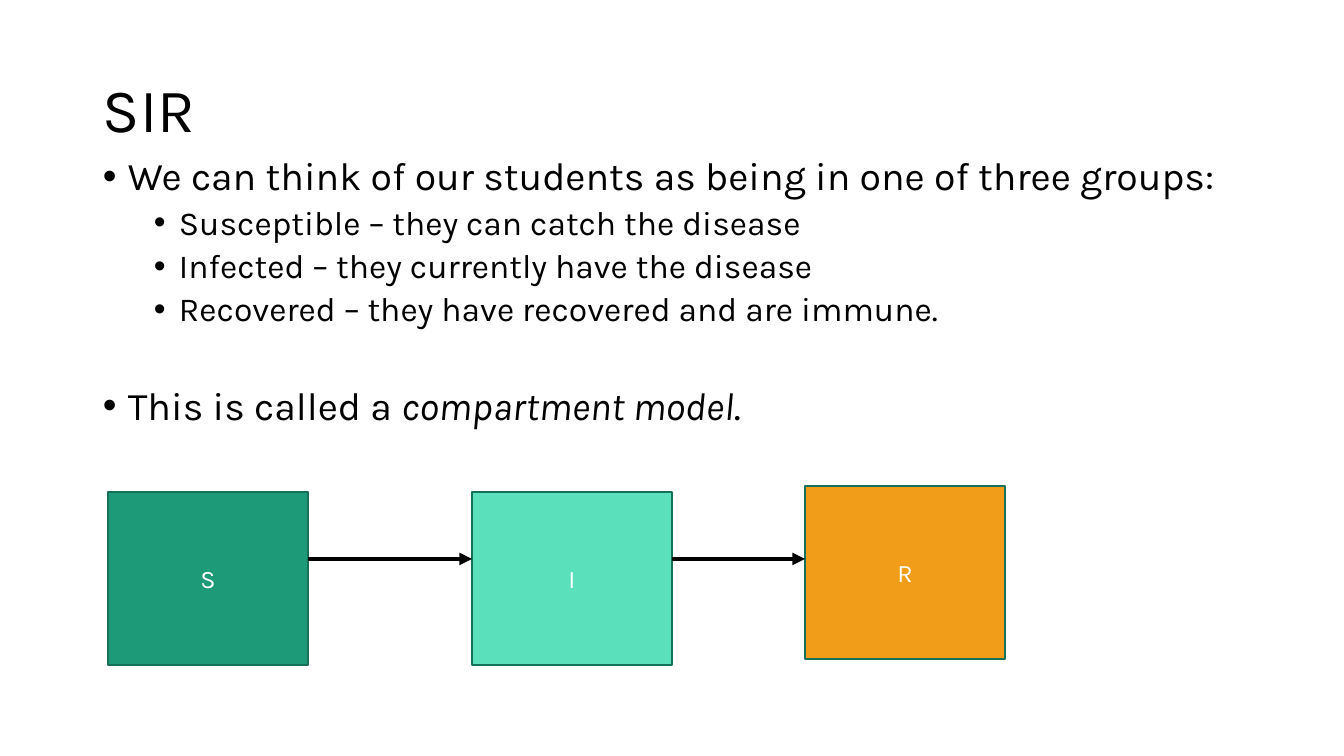
from itertools import pairwise
from lxml.etree import SubElement
from pptx import Presentation
from pptx.dml.color import RGBColor
from pptx.enum.shapes import MSO_CONNECTOR, MSO_SHAPE
from pptx.enum.text import MSO_ANCHOR, PP_ALIGN
from pptx.oxml.ns import qn
from pptx.util import Pt

PX = 914400 / 100.8
FONT = "Karla"
BLACK, WHITE, OUTLINE = "000000", "FFFFFF", "157259"

TITLE = "SIR"
BULLETS = [
    (0, 10, [("We can think of our students as being in one of three groups:", False)]),
    (1, 5, [("Susceptible – they can catch the disease", False)]),
    (1, 5, [("Infected – they currently have the disease", False)]),
    (1, 5, [("Recovered – they have recovered and are immune.", False)]),
    (0, 41, [("This is called a ", False), ("compartment model", True), (".", False)]),
]
LEVELS = [(28, 25), (24, 76)]
HANGING = 25
COMPARTMENTS = [
    ("S", 108, 492, "1D9A78"),
    ("I", 472, 492, "5AE0BB"),
    ("R", 805, 486, "F19D19"),
]
COMPARTMENT_WIDTH, COMPARTMENT_HEIGHT = 200, 173
FLOW_Y = 559


def px(*lengths):
    return [round(length * PX) for length in lengths]


def color(hex_code):
    return RGBColor.from_string(hex_code)


def add_run(paragraph, text, size, hex_code, italic=False):
    run = paragraph.add_run()
    run.text = text
    run.font.name = FONT
    run.font.size = Pt(size)
    run.font.italic = italic
    run.font.color.rgb = color(hex_code)


def add_text_frame(left, top, width, height, anchor):
    frame = slide.shapes.add_textbox(*px(left, top, width, height)).text_frame
    frame.word_wrap = True
    frame.vertical_anchor = anchor
    return frame


def set_bullet(paragraph, indent):
    properties = paragraph._p.get_or_add_pPr()
    margin, hanging = px(indent, HANGING)
    properties.set("marL", str(margin))
    properties.set("indent", str(-hanging))
    SubElement(properties, qn("a:buFont"), typeface="Arial")
    SubElement(properties, qn("a:buChar"), char="•")


def add_compartment(label, left, top, fill):
    compartment = slide.shapes.add_shape(
        MSO_SHAPE.RECTANGLE, *px(left, top, COMPARTMENT_WIDTH, COMPARTMENT_HEIGHT))
    compartment.shadow.inherit = False
    compartment.fill.solid()
    compartment.fill.fore_color.rgb = color(fill)
    compartment.line.color.rgb = color(OUTLINE)
    compartment.line.width = Pt(1)
    compartment.text_frame.vertical_anchor = MSO_ANCHOR.MIDDLE
    paragraph = compartment.text_frame.paragraphs[0]
    paragraph.alignment = PP_ALIGN.CENTER
    add_run(paragraph, label, 18, WHITE)


def add_flow(start, end):
    flow = slide.shapes.add_connector(
        MSO_CONNECTOR.STRAIGHT, *px(start, FLOW_Y, end, FLOW_Y))
    flow.line.color.rgb = color(BLACK)
    flow.line.width = Pt(3)
    SubElement(flow.line._get_or_add_ln(), qn("a:tailEnd"), type="triangle")
    SubElement(flow._element.spPr, qn("a:effectLst"))


presentation = Presentation()
presentation.slide_width, presentation.slide_height = px(1344, 756)
slide = presentation.slides.add_slide(presentation.slide_layouts[6])

heading = add_text_frame(93, 40, 1159, 146, MSO_ANCHOR.MIDDLE).paragraphs[0]
heading.line_spacing = 0.9
add_run(heading, TITLE, 44, BLACK)

body = add_text_frame(93, 152, 1159, 514, MSO_ANCHOR.TOP)
for index, (level, space_before, runs) in enumerate(BULLETS):
    bullet = body.add_paragraph() if index else body.paragraphs[0]
    size, indent = LEVELS[level]
    bullet.level = level
    bullet.line_spacing = 0.9
    bullet.space_before = Pt(space_before)
    set_bullet(bullet, indent)
    for text, italic in runs:
        add_run(bullet, text, size, BLACK, italic)

for compartment in COMPARTMENTS:
    add_compartment(*compartment)
for (_, source_left, *_), (_, target_left, *_) in pairwise(COMPARTMENTS):
    add_flow(source_left + COMPARTMENT_WIDTH, target_left)

presentation.save("out.pptx")
